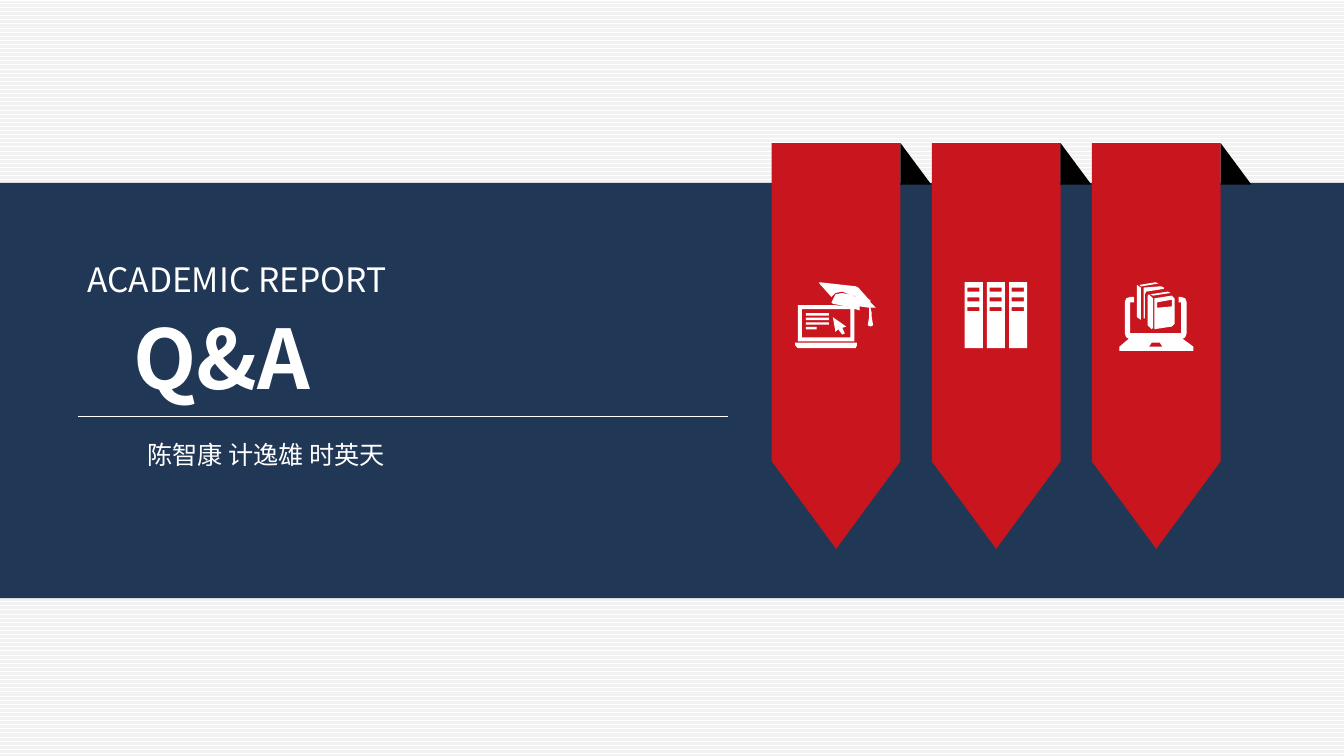
from lxml import etree
from pptx import Presentation, util as u
from pptx.dml.color import RGBColor
from pptx.enum import dml, shapes, text
from pptx.oxml import ns

COLUMNS, ROWS = 100, 56.25
CELL = u.Inches(0.1)
FONT = "Noto Sans CJK SC"
COLORS = {"navy": "203756", "red": "C9151E", "white": "FFFFFF",
          "stripe": "F2F2F2", "fold": "000000"}

RIBBON_LEFT, RIBBON_TOP, RIBBON_STEP = 57.42, 10.64, 11.91
RIBBON_WIDTH, RIBBON_LENGTH = 9.58, 30.2
ICON_TOP = 21


def cells(*counts):
    return [round(count * CELL) for count in counts]


def rgb(name):
    return RGBColor.from_string(COLORS[name])


def paint(shape, color):
    shape.shadow.inherit = False
    shape.fill.solid()
    shape.fill.fore_color.rgb = rgb(color)
    shape.line.fill.background()


def add_preset(parent, kind, box, color):
    shape = parent.shapes.add_shape(kind, *cells(*box))
    paint(shape, color)
    return shape


def write(holder, words, size, bold=False, align=text.PP_ALIGN.LEFT,
          indent=0, spacing=1.0):
    frame = holder.text_frame
    frame.word_wrap = True
    frame.auto_size = text.MSO_AUTO_SIZE.NONE
    frame.vertical_anchor = text.MSO_ANCHOR.MIDDLE
    frame.margin_left = cells(1 + indent)[0]
    paragraph = frame.paragraphs[0]
    paragraph.alignment = align
    paragraph.line_spacing = spacing
    run = paragraph.add_run()
    run.text = words
    run.font.name = FONT
    run.font.size = u.Pt(size)
    run.font.bold = bold
    run.font.color.rgb = rgb("white")
    east_asian = etree.SubElement(run.font._element, ns.qn("a:ea"))
    east_asian.set("typeface", FONT)


def add_caption(slide, box, words, size, **style):
    write(slide.shapes.add_textbox(*cells(*box)), words, size, **style)


def place_title(slide, box, words, size, **style):
    title = slide.shapes.title
    title.left, title.top, title.width, title.height = cells(*box)
    write(title, words, size, **style)
    slide.shapes._spTree.append(title._element)


def add_rule(slide, left, right, row):
    rule = slide.shapes.add_connector(
        shapes.MSO_CONNECTOR.STRAIGHT, *cells(left, row, right, row))
    rule.line.color.rgb = rgb("white")
    rule.line.width = u.Pt(0.5)
    etree.SubElement(rule._element.spPr, ns.qn("a:effectLst"))


def block(left, top, width, height):
    right, bottom = left + width, top + height
    return [(left, top), (right, top), (right, bottom), (left, bottom)]


def online_course():
    laptop_base = [(0, 45), (46, 45), (46, 47), (45, 49), (2, 49), (0, 47)]
    screen = [(2, 17), (29, 17), (37, 18), (44, 20), (44, 44), (2, 44)]
    text_lines = [block(8, 23 + 3.4 * row, width, 1.8)
                  for row, width in enumerate((17, 17, 17, 8))]
    cap = [(55, 13), (47, 4), (45, 3), (18, 0), (18, 1), (27, 11), (30, 8),
           (35, 7), (43, 10), (47, 12), (44, 10), (35, 8), (30, 9), (27, 15),
           (28, 16), (38, 18), (48, 21), (48, 18), (55, 19)]
    tassel = [(60, 19), (56, 15), (56, 13), (55, 13), (55, 26), (54, 32),
              (56, 33), (58, 32), (57, 26), (57, 23), (56, 19)]
    pointer = [(28, 26), (30, 37), (32, 35), (35, 39), (37, 38), (35, 34),
               (38, 33)]
    return [laptop_base, screen, block(5, 20, 36, 21), *text_lines,
            cap, tassel, pointer]


def binders():
    outlines = []
    for left in (0, 16.5, 33):
        outlines.append(block(left, 0, 13.5, 49))
        outlines += [block(left + 2, top, 9, 3) for top in (4, 11.2, 18.6)]
    return outlines


def digital_library():
    touchpad = [(24, 45), (30, 45), (32, 48), (22, 48)]
    back_top = [(15, 2), (16, 3), (17, 3), (29, 1), (27, 0)]
    back_spine = [(13, 2), (16, 4), (16, 28), (13, 26)]
    back_cover = [(18, 4), (31, 3), (33, 4), (33, 5), (20, 7), (19, 9),
                  (19, 27), (18, 27)]
    front_top = [(23, 9), (25, 10), (38, 8), (36, 7)]
    front_spine = [(22, 9), (24, 11), (25, 12), (25, 34), (24, 35), (22, 33),
                   (21, 32), (21, 10)]
    front_cover = [(26, 12), (39, 10), (41, 12), (41, 31), (39, 33), (26, 35)]
    label = [(28, 15), (39, 13), (39, 18), (28, 19)]
    laptop = [(8, 15), (11, 15), (11, 11), (8, 11), (5, 12), (4, 15), (4, 38),
              (5, 41), (7, 42), (0, 48), (0, 51), (55, 51), (55, 48), (47, 42),
              (49, 41), (50, 38), (50, 15), (49, 12), (46, 11), (44, 11),
              (44, 15), (46, 15), (46, 38), (8, 38)]
    return [touchpad, back_top, back_spine, back_cover, front_top,
            front_spine, front_cover, label, laptop]


def add_icon(parent, left, top, outlines):
    scaled = [[(x * 10, y * 10) for x, y in outline] for outline in outlines]
    builder = parent.shapes.build_freeform(*scaled[0][0], scale=CELL / 100)
    for index, (start, *rest) in enumerate(scaled):
        if index:
            builder.move_to(*start)
        builder.add_line_segments(rest, close=True)
    paint(builder.convert_to_shape(*cells(left, top)), "white")


def add_ribbon(slide, left, icon_indent, outlines):
    ribbon = slide.shapes.add_group_shape()
    overhang = (RIBBON_LENGTH - RIBBON_WIDTH) / 2
    banner = add_preset(
        ribbon, shapes.MSO_SHAPE.PENTAGON,
        (left - overhang, RIBBON_TOP + overhang, RIBBON_LENGTH, RIBBON_WIDTH),
        "red")
    banner.rotation = 90
    banner.adjustments[0] = 0.68
    add_preset(ribbon, shapes.MSO_SHAPE.RIGHT_TRIANGLE,
               (left + RIBBON_WIDTH, RIBBON_TOP, 2.3, 3.1), "fold")
    add_icon(ribbon, left + icon_indent, ICON_TOP, outlines)


def main():
    deck = Presentation()
    deck.slide_width, deck.slide_height = cells(COLUMNS, ROWS)
    slide = deck.slides.add_slide(deck.slide_layouts.get_by_name("Title Only"))
    backdrop = slide.background.fill
    backdrop.patterned()
    backdrop.pattern = dml.MSO_PATTERN.DARK_HORIZONTAL
    backdrop.fore_color.rgb = rgb("stripe")
    backdrop.back_color.rgb = rgb("white")

    add_preset(slide, shapes.MSO_SHAPE.RECTANGLE,
               (0, 13.6, COLUMNS, 30.9), "navy")
    place_title(slide, (4.7, 22.3, 54.3, 8.4), "Q&A", 44, bold=True, indent=4.25)
    add_rule(slide, 5.8, 54.2, 31)

    icons = [(1.75, online_course()), (2.45, binders()),
             (2.05, digital_library())]
    for index, (icon_indent, outlines) in enumerate(icons):
        add_ribbon(slide, RIBBON_LEFT + index * RIBBON_STEP, icon_indent, outlines)

    add_caption(slide, (5.5, 18.8, 25.9, 4), "ACADEMIC REPORT", 18)
    add_caption(slide, (4.6, 31.85, 30.4, 3.5), "陈智康 计逸雄 时英天", 13.5,
                align=text.PP_ALIGN.CENTER, spacing=1.2)
    deck.save("out.pptx")


if __name__ == "__main__":
    main()
